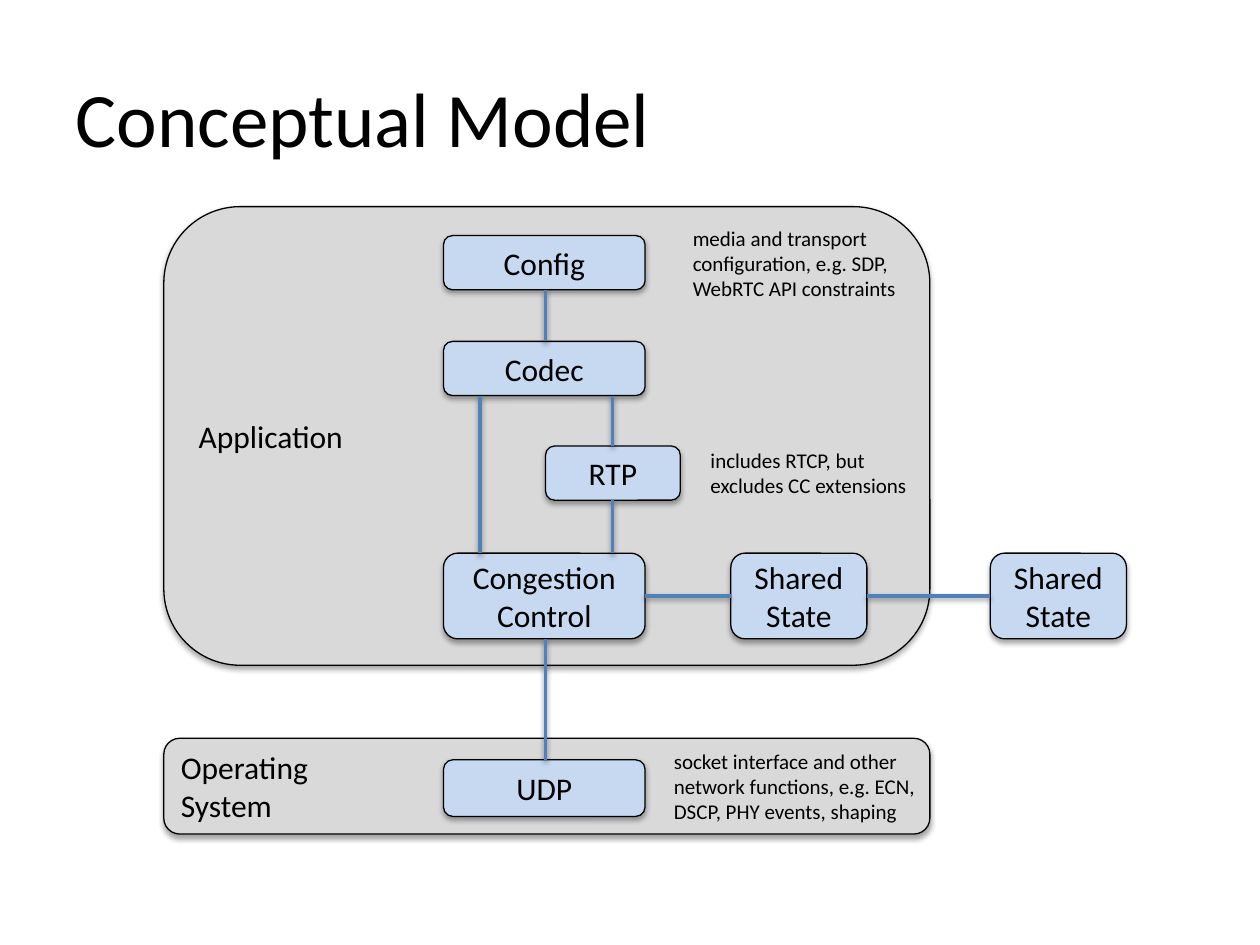
from collections import namedtuple

from lxml import etree
from pptx import Presentation
from pptx.dml.color import RGBColor
from pptx.enum.shapes import MSO_CONNECTOR as Connector, MSO_SHAPE as Shape
from pptx.enum.text import MSO_ANCHOR as Anchor, PP_ALIGN as Align
from pptx.oxml.ns import qn
from pptx.util import Inches, Pt

Box = namedtuple("Box", "left top width height")

BLACK, PANEL_GREY, BOX_BLUE, LINK_BLUE = "000000", "D9D9D9", "C6D9F1", "4F81BD"

# Panels: lines of the label, place
PANELS = [
    (["Operating", "System"], Box(1.3, 5.86, 6.08, 0.76)),
    (["Application"], Box(1.3, 1.64, 6.08, 3.64)),
]

# Components of the stack, and the state they share
STACK_LEFT, STACK_WIDTH = 3.52, 1.6
CONTROL_TOP, CONTROL_HEIGHT = 4.39, 0.68
COMPONENTS = {
    "udp": ("UDP", Box(STACK_LEFT, 6.03, STACK_WIDTH, 0.45)),
    "config": ("Config", Box(STACK_LEFT, 1.87, STACK_WIDTH, 0.43)),
    "codec": ("Codec", Box(STACK_LEFT, 2.71, STACK_WIDTH, 0.43)),
    "control": ("Congestion Control", Box(STACK_LEFT, CONTROL_TOP, STACK_WIDTH, CONTROL_HEIGHT)),
    "rtp": ("RTP", Box(4.33, 3.54, 1.07, 0.43)),
    "inner_state": ("Shared State", Box(5.8, CONTROL_TOP, 1.08, CONTROL_HEIGHT)),
    "outer_state": ("Shared State", Box(7.86, CONTROL_TOP, 1.08, CONTROL_HEIGHT)),
}

# Links: upper component, lower component, horizontal position
DOWN_LINKS = [
    ("config", "codec", 4.33),
    ("codec", "control", 3.81),
    ("codec", "rtp", 4.86),
    ("rtp", "control", 4.86),
    ("control", "udp", 4.33),
]
ACROSS_LINKS = [("control", "inner_state"), ("inner_state", "outer_state")]

NOTES = [
    ("media and transport configuration, e.g. SDP, WebRTC API constraints",
     Box(5.4, 1.74, 2.14, 0.71)),
    ("socket interface and other network functions, e.g. ECN, DSCP, PHY events, shaping",
     Box(5.25, 5.89, 2.14, 0.71)),
    ("includes RTCP, but excludes CC extensions", Box(5.54, 3.5, 1.85, 0.5)),
]


def color(hex_value):
    return RGBColor.from_string(hex_value)


def place(box):
    return [Inches(length) for length in box]


def write(frame, lines, size, align=Align.LEFT, anchor=Anchor.MIDDLE):
    for name, value in {"word_wrap": True, "vertical_anchor": anchor}.items():
        setattr(frame, name, value)
    for index, line in enumerate(lines):
        paragraph = frame.paragraphs[0] if index == 0 else frame.add_paragraph()
        paragraph.alignment = align
        run = paragraph.add_run()
        run.text = line
        run.font.color.rgb = color(BLACK)
        for name, value in {"name": "Calibri", "size": Pt(size)}.items():
            setattr(run.font, name, value)


def cast_shadow(effects, opacity, distance):
    """Add a soft shadow that falls straight down."""
    shadow = etree.SubElement(effects, qn("a:outerShdw"), {
        "blurRad": str(Pt(3.1)), "dist": str(Pt(distance)),
        "dir": "5400000", "rotWithShape": "0"})
    tone = etree.SubElement(shadow, qn("a:srgbClr"), val=BLACK)
    etree.SubElement(tone, qn("a:alpha"), val=str(opacity * 1000))


def add_box(slide, lines, box, fill, align):
    shape = slide.shapes.add_shape(Shape.ROUNDED_RECTANGLE, *place(box))
    shape.fill.solid()
    shape.fill.fore_color.rgb = color(fill)
    shape.line.color.rgb = color(BLACK)
    shape.line.width = Pt(0.75)
    shape.shadow.inherit = False
    cast_shadow(shape._element.spPr.find(qn("a:effectLst")), 35, 1.8)
    write(shape.text_frame, lines, 18, align)


def add_link(slide, x1, y1, x2, y2):
    link = slide.shapes.add_connector(Connector.STRAIGHT, *place((x1, y1, x2, y2)))
    link.line.color.rgb = color(LINK_BLUE)
    link.line.width = Pt(2)
    effects = etree.SubElement(link._element.spPr, qn("a:effectLst"))
    cast_shadow(effects, 38, 1.6)


def link_down(slide, upper, lower, x):
    add_link(slide, x, upper.top + upper.height, x, lower.top)


def link_across(slide, first, second):
    middle = first.top + first.height / 2
    add_link(slide, first.left + first.width, middle, second.left, middle)


def add_note(slide, text, box):
    note = slide.shapes.add_textbox(*place(box))
    write(note.text_frame, [text], 12, anchor=Anchor.TOP)


def set_title(slide, text, box):
    title = slide.shapes.title
    for name, value in zip(("left", "top", "width", "height"), place(box)):
        setattr(title, name, value)
    write(title.text_frame, [text], 44)


def main():
    deck = Presentation()
    deck.slide_width, deck.slide_height = Inches(10), Inches(7.5)
    slide = deck.slides.add_slide(deck.slide_layouts[5])
    set_title(slide, "Conceptual Model", Box(0.5, 0.3, 9, 1.25))

    # Panels and the components on them
    for lines, box in PANELS:
        add_box(slide, lines, box, PANEL_GREY, Align.LEFT)
    for label, box in COMPONENTS.values():
        add_box(slide, [label], box, BOX_BLUE, Align.CENTER)

    # Links between components
    boxes = {key: box for key, (_, box) in COMPONENTS.items()}
    for upper, lower, x in DOWN_LINKS:
        link_down(slide, boxes[upper], boxes[lower], x)
    for first, second in ACROSS_LINKS:
        link_across(slide, boxes[first], boxes[second])

    # Notes beside the components
    for text, box in NOTES:
        add_note(slide, text, box)

    deck.save("out.pptx")


main()
